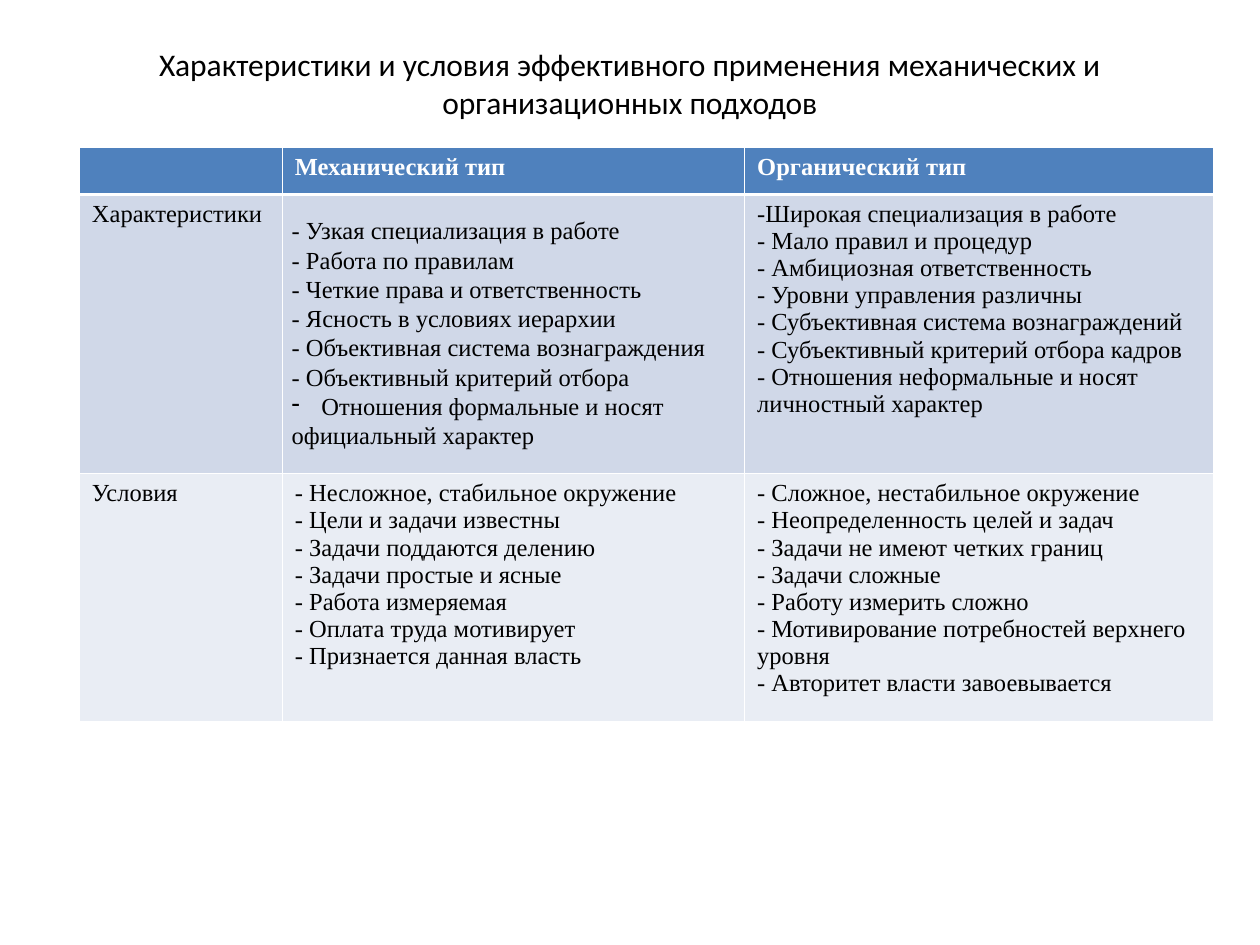
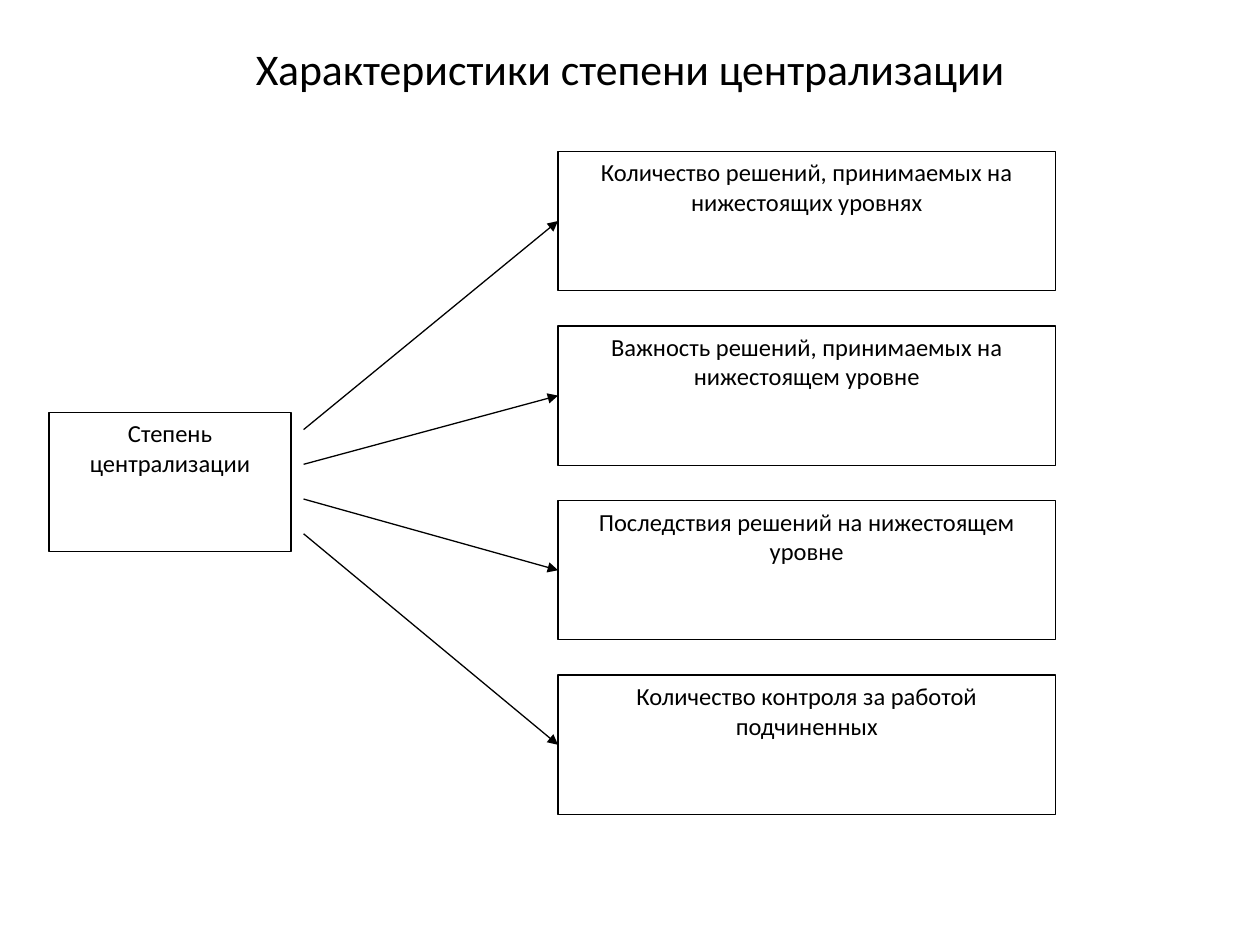
from lxml.etree import SubElement
from pptx import Presentation
from pptx.dml.color import RGBColor
from pptx.enum.shapes import MSO_CONNECTOR as Connector, MSO_SHAPE as Shape
from pptx.enum.text import MSO_ANCHOR as Anchor, MSO_AUTO_SIZE as AutoSize, PP_ALIGN as Align
from pptx.oxml.ns import qn
from pptx.util import Cm, Pt

BLACK, WHITE = "000000", "FFFFFF"
HEADER_FILL = "4F81BD"
ROW_FILLS = [HEADER_FILL, "D0D8E8", "E9EDF4"]
HEADING_FONT, TABLE_FONT = "Calibri", "Times New Roman"
BODY_SIZE = 14
THIN_BORDER, HEADER_BORDER = 0.45, 1.47

COLUMN_WIDTHS = [4.09, 9.32, 9.45]
ROW_HEIGHTS = [0.94, 5.63, 5.0]
APPROACHES = [
    ["", ["Механический тип"], ["Органический тип"]],
    [
        ["Характеристики"],
        [
            "- Узкая специализация в работе",
            "- Работа по правилам",
            "- Четкие права и ответственность",
            "- Ясность в условиях иерархии",
            "- Объективная система вознаграждения",
            "- Объективный критерий отбора",
            "Отношения формальные и носят",
            "официальный характер",
        ],
        [
            "-Широкая специализация в работе",
            "- Мало правил и процедур",
            "- Амбициозная ответственность",
            "- Уровни управления различны",
            "- Субъективная система вознаграждений",
            "- Субъективный критерий отбора кадров",
            "- Отношения неформальные и носят",
            "личностный характер",
        ],
    ],
    [
        ["Условия"],
        [
            "- Несложное, стабильное окружение",
            "- Цели и задачи известны",
            "- Задачи поддаются делению",
            "- Задачи простые и ясные",
            "- Работа измеряемая",
            "- Оплата труда мотивирует",
            "- Признается данная власть",
        ],
        [
            "- Сложное, нестабильное окружение",
            "- Неопределенность целей и задач",
            "- Задачи не имеют четких границ",
            "- Задачи сложные",
            "- Работу измерить сложно",
            "- Мотивирование потребностей верхнего уровня",
            "- Авторитет власти завоевывается",
        ],
    ],
]

INDICATORS = [
    "Количество решений, принимаемых на нижестоящих уровнях",
    "Важность решений, принимаемых на нижестоящем уровне",
    "Последствия решений на нижестоящем уровне",
    "Количество контроля за работой подчиненных",
]
BOX_HEIGHT = 2.81
INDICATOR_TOP, INDICATOR_PITCH = 3.05, 3.52
ARROW_TOP, ARROW_PITCH = 8.66, 0.7


def rgb(color):
    return RGBColor.from_string(color)


def format_text(text_frame, font_name, size, color=BLACK, bold=False, align=None):
    for paragraph in text_frame.paragraphs:
        paragraph.alignment = align
        for run in paragraph.runs:
            run.font.name = font_name
            run.font.size = Pt(size)
            run.font.bold = bold
            run.font.color.rgb = rgb(color)


def add_titled_slide(presentation, title_text, size, height):
    slide = presentation.slides.add_slide(presentation.slide_layouts[5])
    title = slide.shapes.title
    title.left, title.top, title.width, title.height = Cm(1.27), Cm(0.76), Cm(22.86), Cm(height)
    text_frame = title.text_frame
    text_frame.text = title_text
    text_frame.auto_size = AutoSize.NONE
    text_frame.vertical_anchor = Anchor.MIDDLE
    format_text(text_frame, HEADING_FONT, size, align=Align.CENTER)
    return slide


def set_borders(cell, top, bottom):
    """Draw white borders; must run before the cell gets its fill."""
    properties = cell._tc.get_or_add_tcPr()
    for side, width in zip("LRTB", (THIN_BORDER, THIN_BORDER, top, bottom)):
        line = SubElement(properties, qn(f"a:ln{side}"), w=str(Pt(width)))
        SubElement(SubElement(line, qn("a:solidFill")), qn("a:srgbClr"), val=WHITE)


def set_dash_bullet(paragraph, indent):
    properties = paragraph._p.get_or_add_pPr()
    properties.set("marL", str(indent))
    properties.set("indent", str(-indent))
    SubElement(properties, qn("a:buChar"), char="-")


def space_out_list(cell):
    """Give the mechanical features their own pitch, margins and dash bullet."""
    cell.margin_left = cell.margin_right = Cm(0.19)
    cell.margin_top = Cm(0.72)
    for paragraph in cell.text_frame.paragraphs:
        paragraph.line_spacing = Pt(8.6)
        paragraph.space_after = Pt(8.1)
    set_dash_bullet(cell.text_frame.paragraphs[-2], Cm(0.6))


def fill_cell(cell, lines, row_index):
    is_header = row_index == 0
    set_borders(
        cell,
        top=HEADER_BORDER if row_index == 1 else THIN_BORDER,
        bottom=HEADER_BORDER if is_header else THIN_BORDER,
    )
    cell.fill.solid()
    cell.fill.fore_color.rgb = rgb(ROW_FILLS[row_index])
    if not lines:
        cell.margin_top = cell.margin_bottom = 0
        return
    cell.text_frame.text = "\n".join(lines)
    format_text(cell.text_frame, TABLE_FONT, BODY_SIZE, WHITE if is_header else BLACK, is_header)


def add_approach_table(slide):
    frame = slide.shapes.add_table(
        len(ROW_HEIGHTS), len(COLUMN_WIDTHS),
        Cm(1.6), Cm(2.98), Cm(sum(COLUMN_WIDTHS)), Cm(sum(ROW_HEIGHTS)),
    )
    table = frame.table
    for column, width in zip(table.columns, COLUMN_WIDTHS):
        column.width = Cm(width)
    for row, height in zip(table.rows, ROW_HEIGHTS):
        row.height = Cm(height)
    for row_index, row_texts in enumerate(APPROACHES):
        for column_index, lines in enumerate(row_texts):
            fill_cell(table.cell(row_index, column_index), lines, row_index)
    space_out_list(table.cell(1, 1))


def add_box(slide, text, left, top, width):
    box = slide.shapes.add_shape(Shape.RECTANGLE, Cm(left), Cm(top), Cm(width), Cm(BOX_HEIGHT))
    box.shadow.inherit = False
    box.fill.solid()
    box.fill.fore_color.rgb = rgb(WHITE)
    box.line.color.rgb = rgb(BLACK)
    box.line.width = Pt(0.75)
    text_frame = box.text_frame
    text_frame.text = text
    text_frame.word_wrap = True
    text_frame.vertical_anchor = Anchor.TOP
    format_text(text_frame, HEADING_FONT, BODY_SIZE, align=Align.CENTER)
    return box


def add_arrow(slide, left, top, target):
    """Draw an arrow from a point to the left side of the target box."""
    arrow = slide.shapes.add_connector(
        Connector.STRAIGHT, Cm(left), Cm(top), target.left, target.top + target.height // 2
    )
    arrow.end_connect(target, 1)
    arrow.line.color.rgb = rgb(BLACK)
    arrow.line.width = Pt(0.75)
    SubElement(arrow.line._get_or_add_ln(), qn("a:tailEnd"), type="triangle")
    SubElement(arrow._element.spPr, qn("a:effectLst"))


def add_centralization_diagram(slide):
    add_box(slide, "Степень\nцентрализации", 0.99, 8.31, 4.88)
    boxes = [
        add_box(slide, text, 11.25, INDICATOR_TOP + index * INDICATOR_PITCH, 10.03)
        for index, text in enumerate(INDICATORS)
    ]
    for index, box in enumerate(boxes):
        add_arrow(slide, 6.12, ARROW_TOP + index * ARROW_PITCH, box)


def main():
    presentation = Presentation()
    presentation.slide_width, presentation.slide_height = Cm(25.4), Cm(19.05)

    approaches_title = (
        "Характеристики и условия эффективного применения "
        "механических и организационных подходов"
    )
    add_approach_table(add_titled_slide(presentation, approaches_title, 18, 1.83))

    centralization_title = "Характеристики степени централизации"
    add_centralization_diagram(add_titled_slide(presentation, centralization_title, 25, 1.22))

    presentation.save("out.pptx")


if __name__ == "__main__":
    main()
